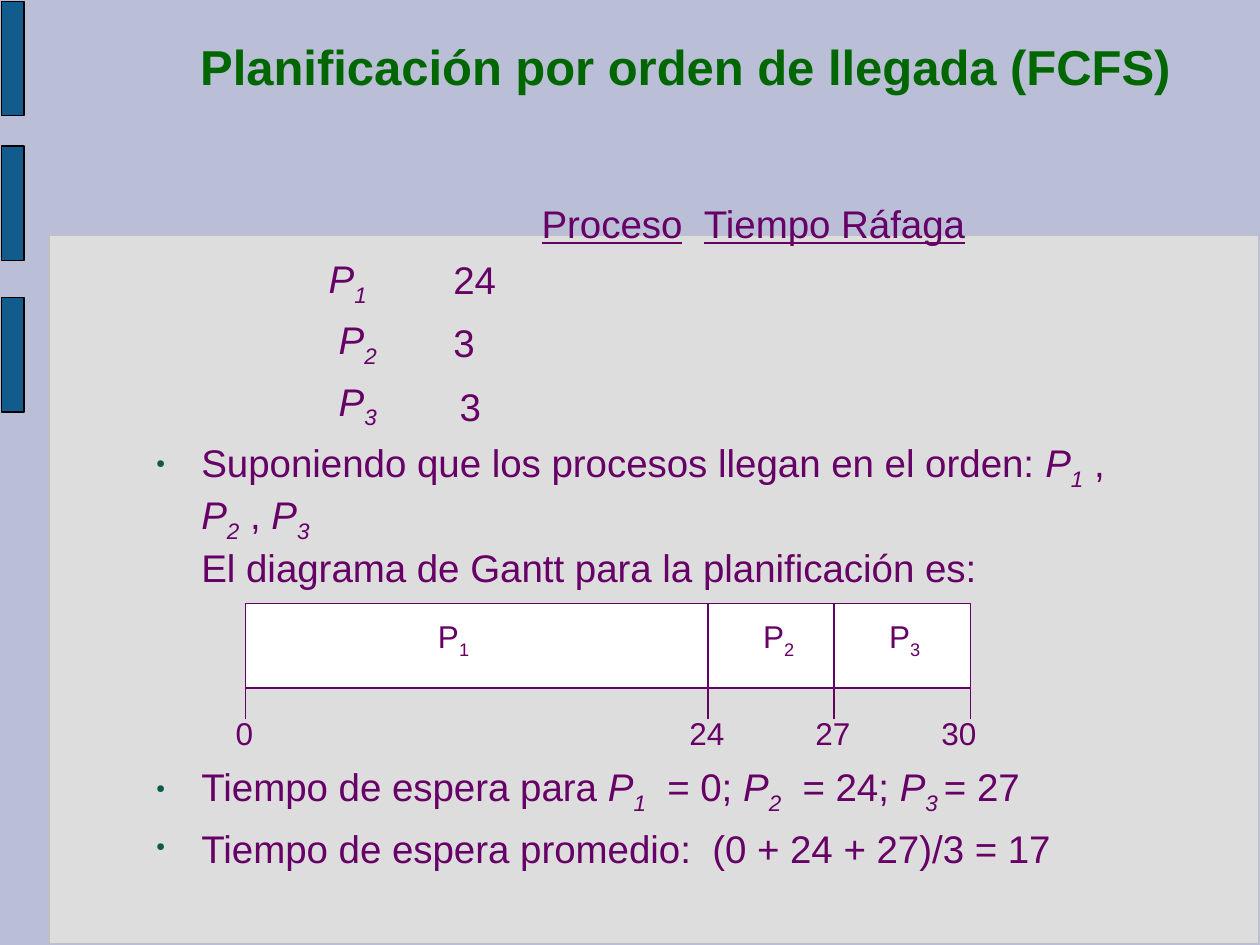
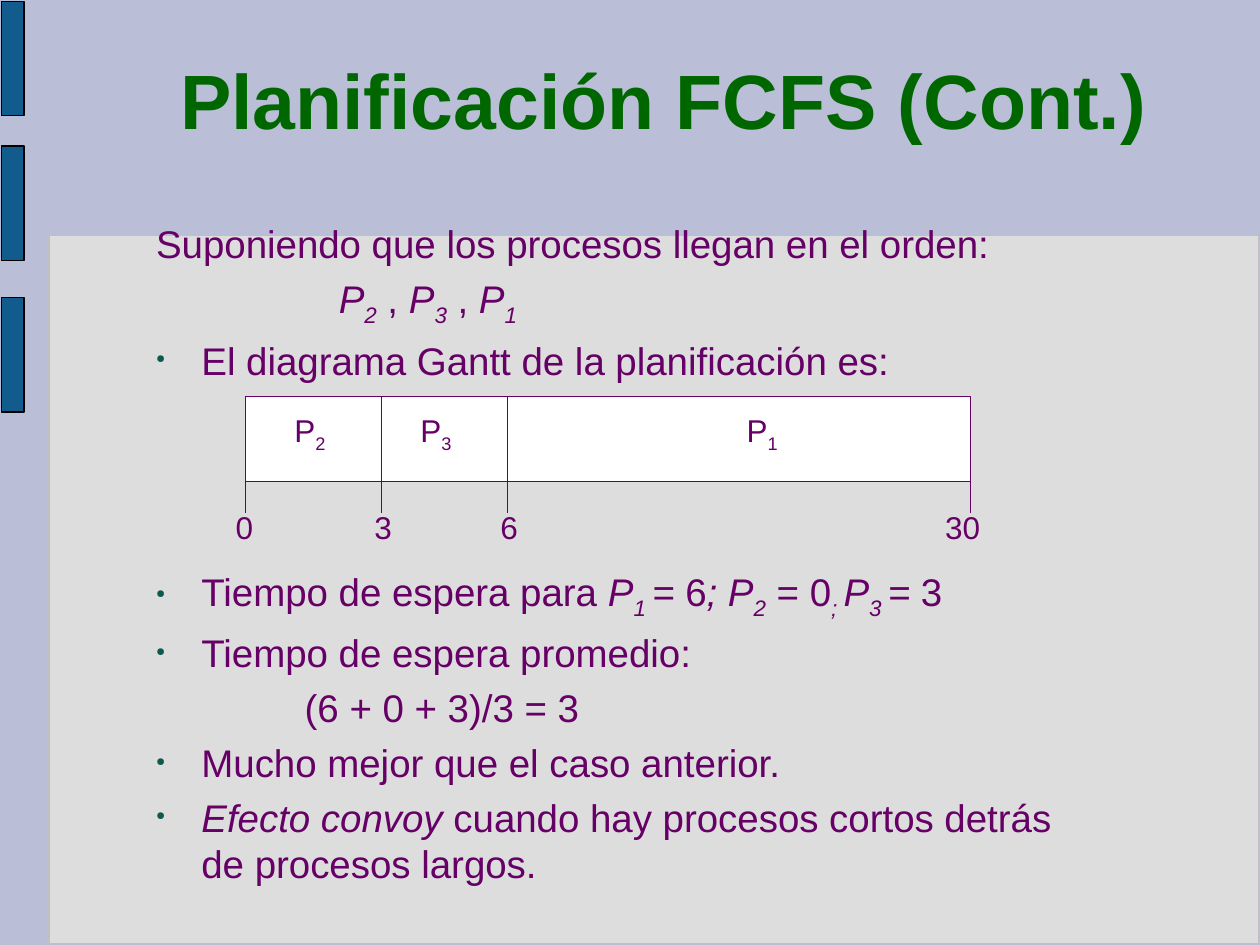
"""Build two slides on first-come, first-served process scheduling."""
from pptx import Presentation
from pptx.dml.color import RGBColor
from pptx.enum.shapes import MSO_CONNECTOR, MSO_SHAPE
from pptx.enum.text import MSO_ANCHOR, PP_ALIGN
from pptx.oxml.ns import qn
from pptx.util import Inches, Pt
from lxml.etree import SubElement

FONT = "Arial"
INK, GREEN, DOT = "660066", "006600", "0E594D"
BACK, PANEL, EDGE, BAND = "BABED6", "DDDDDD", "C0C0C0", "125C8D"
WHITE, BLACK = "FFFFFF", "000000"
BANDS = (0.01, 1.16, 2.36)
BULLET = {"bullet": True, "left": 0.36, "first": -0.36}

# Segments split at "|": "*" italic, "_" subscript, "~" underlined, "/" line break.
SLIDES = [
    {
        "title": ("Planificación por orden de llegada (FCFS)", 28, (0.88, 0, 9.12, 1.04)),
        "texts": [
            ((1.14, 1.54, 8.27, 5.75), [
                ("~Proceso|  |~Tiempo Ráfaga", {"first": 3.06}),
                ("*P|_1", {"first": 1.37}),
                ("*P|_2", {"first": 1.45}),
                ("*P|_3", {"first": 1.45}),
                ("Suponiendo que los procesos llegan en el orden: |*P|_1| , |*P|_2| , |*P|_3|/|"
                 "El diagrama de Gantt para la planificación es:", BULLET),
                ("Tiempo de espera para |*P|_1|  = 0; |*P|_2|  = 24; |*P|_3 |= 27",
                 {**BULLET, "before": 99}),
                ("Tiempo de espera promedio:  (0 + 24 + 27)/3 = 17", BULLET),
            ]),
            ((3.5, 1.98, 0.8, 1.5), [
                ("24", {}),
                ("3", {"before": 10}),
                ("3", {"before": 10, "first": 0.05}),
            ]),
        ],
        "top": 4.79,
        "jobs": [("P|_1", 3.6), ("P|_2", 6.18), ("P|_3", 7.18)],
        "ticks": [("0", 1.95, 1.94), ("24", 5.62, 5.61), ("27", 6.62, 6.61), ("30", 7.7, 7.61)],
    },
    {
        "title": ("Planificación FCFS (Cont.)", 44, (1.28, 0, 7.98, 1.57)),
        "texts": [
            ((1.14, 1.7, 7.69, 5.56), [
                ("Suponiendo que los procesos llegan en el orden:", {}),
                ("*P|_2| , |*P|_3| , |*P|_1", {"first": 1.45}),
                ("El diagrama Gantt de la planificación es:", BULLET),
                ("Tiempo de espera para |*P|_1 |*=| 6|*; P|_2| = 0|_; |*P|_3 |*= |3",
                 {**BULLET, "before": 106}),
                ("Tiempo de espera promedio:", BULLET),
                ("(6 + 0 + 3)/3 = 3", {"left": 1.41, "first": -0.23}),
                ("Mucho mejor que el caso anterior.", BULLET),
                ("*Efecto convoy |cuando hay procesos cortos detrás de procesos largos.", BULLET),
            ]),
        ],
        "top": 3.15,
        "jobs": [("P|_2", 2.46), ("P|_3", 3.46), ("P|_1", 6.05)],
        "ticks": [("0", 1.95, 1.94), ("3", 3.03, 3.04), ("6", 4.03, 4.04), ("30", 7.7, 7.64)],
    },
]


def color(code):
    """Turn a hex string into a colour."""
    return RGBColor.from_string(code)


def block(slide, kind, box, fill, line):
    """Draw a filled preset shape."""
    shape = slide.shapes.add_shape(kind, *map(Inches, box))
    shape.shadow.inherit = False
    shape.fill.solid()
    shape.fill.fore_color.rgb = color(fill)
    shape.line.color.rgb = color(line)
    shape.line.width = Pt(0.75)
    return shape


def rule(slide, x, top, end):
    """Draw an upright line."""
    line = slide.shapes.add_connector(
        MSO_CONNECTOR.STRAIGHT, *map(Inches, (x, top, x, end)))
    line.line.color.rgb = color(INK)
    line.line.width = Pt(0.75)
    SubElement(line._element.spPr, qn("a:effectLst"))


def layout(para, left=0, first=0, bullet=False, before=5):
    """Set the indents, bullet and space before a paragraph."""
    para.space_before = Pt(before)
    props = para._p.get_or_add_pPr()
    props.set("marL", str(Inches(left)))
    props.set("indent", str(Inches(first)))
    if bullet:
        tint = SubElement(props, qn("a:buClr"))
        SubElement(tint, qn("a:srgbClr"), val=DOT)
        SubElement(props, qn("a:buSzPct"), val="30000")
        SubElement(props, qn("a:buChar"), char="●")
    else:
        SubElement(props, qn("a:buNone"))


def write(para, text, size=22, ink=INK, bold=False, slant=True):
    """Add the marked segments of a text as runs."""
    for part in text.split("|"):
        if part == "/":
            para.add_line_break()
            continue
        mark = part[0] if part[0] in "*_~" else ""
        run = para.add_run()
        run.text = part[len(mark):]
        font = run.font
        font.name, font.size, font.bold = FONT, Pt(size), bold
        font.color.rgb = color(ink)
        if mark == "~":
            font.underline = True
        elif mark:
            font.italic = mark == "*" or slant
        if mark == "_":
            font._element.set("baseline", "-25000")


def frame(slide, box, wrap=True, anchor=MSO_ANCHOR.MIDDLE):
    """Add an empty text box and return its text frame."""
    area = slide.shapes.add_textbox(*map(Inches, box)).text_frame
    area.word_wrap = wrap
    area.vertical_anchor = anchor
    return area


def label(slide, text, box, wrap=False, **style):
    """Add one centred line of text."""
    para = frame(slide, box, wrap).paragraphs[0]
    para.alignment = PP_ALIGN.CENTER
    write(para, text, **style)


def body(slide, box, items):
    """Write a list of paragraphs."""
    area = frame(slide, box, anchor=MSO_ANCHOR.TOP)
    for i, (text, style) in enumerate(items):
        para = area.add_paragraph() if i else area.paragraphs[0]
        layout(para, **style)
        write(para, text)


def gantt(slide, top, jobs, ticks):
    """Draw the Gantt bar with its jobs and time marks."""
    start, end = ticks[0][1], ticks[-1][1]
    base = top + 0.67
    block(slide, MSO_SHAPE.RECTANGLE, (start, top, end - start, 0.67), WHITE, INK)
    for name, mid in jobs:
        label(slide, name, (mid - 0.23, top + 0.06, 0.46, 0.44), size=18, slant=False)
    for time, x, mid in ticks:
        if start < x < end:
            rule(slide, x, top, base)
        rule(slide, x, base, base + 0.25)
        label(slide, time, (mid - 0.24, top + 0.83, 0.48, 0.4), size=18)


def main():
    """Build and save the slides."""
    deck = Presentation()
    deck.slide_width, deck.slide_height = Inches(10), Inches(7.5)
    back = deck.slide_master.background.fill
    back.solid()
    back.fore_color.rgb = color(BACK)
    for data in SLIDES:
        slide = deck.slides.add_slide(deck.slide_layouts[6])
        panel = block(slide, MSO_SHAPE.ROUNDED_RECTANGLE, (0.39, 1.87, 9.6, 5.62), PANEL, EDGE)
        panel.adjustments[0] = 0
        for y in BANDS:
            block(slide, MSO_SHAPE.RECTANGLE, (0.01, y, 0.18, 0.91), BAND, BLACK)
        text, size, box = data["title"]
        label(slide, text, box, wrap=True, size=size, ink=GREEN, bold=True)
        for box, items in data["texts"]:
            body(slide, box, items)
        gantt(slide, data["top"], data["jobs"], data["ticks"])
    deck.save("out.pptx")


if __name__ == "__main__":
    main()
